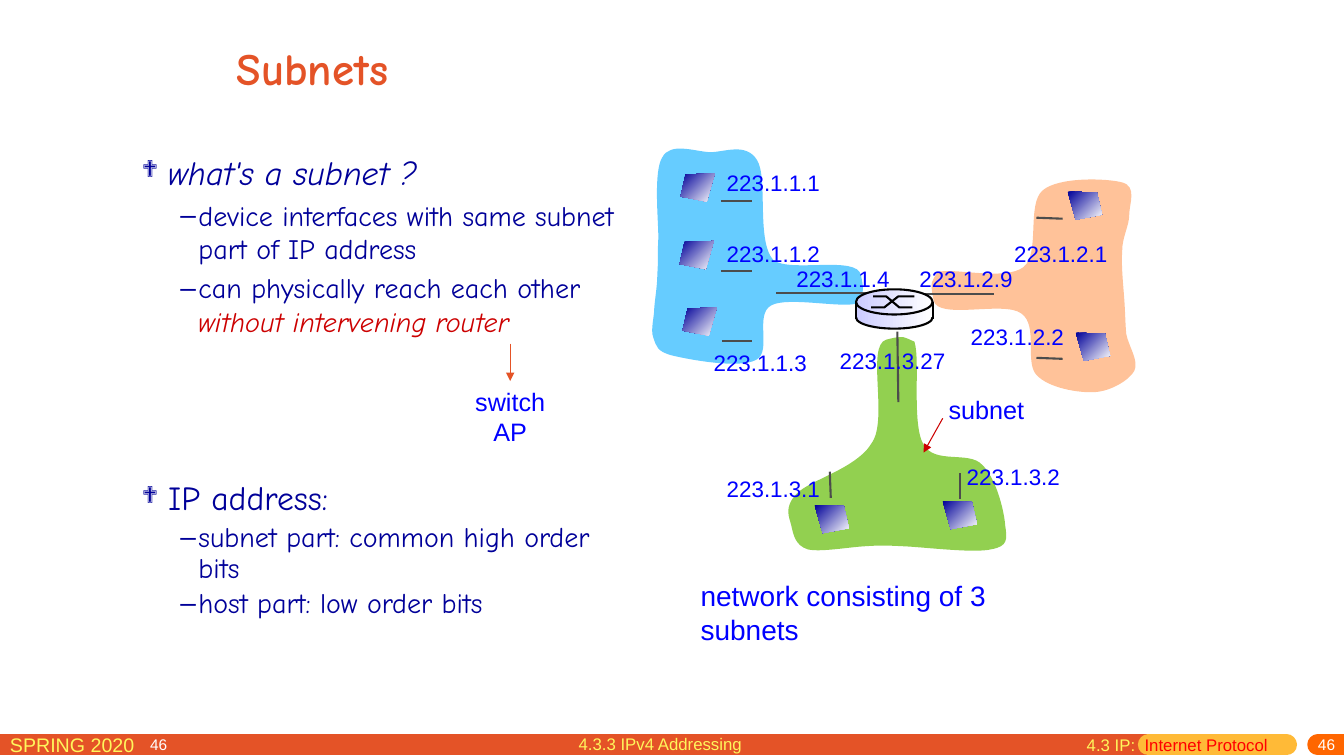
from lxml import etree
from pptx import Presentation
from pptx.dml.color import RGBColor
from pptx.enum.shapes import MSO_CONNECTOR, MSO_SHAPE
from pptx.enum.text import MSO_ANCHOR, PP_ALIGN
from pptx.oxml.ns import qn
from pptx.util import Inches, Pt

STRAIGHT = MSO_CONNECTOR.STRAIGHT
ELLIPSE, RECTANGLE = MSO_SHAPE.OVAL, MSO_SHAPE.RECTANGLE
TOP, MIDDLE = MSO_ANCHOR.TOP, MSO_ANCHOR.MIDDLE
LEFT, CENTER, RIGHT = PP_ALIGN.LEFT, PP_ALIGN.CENTER, PP_ALIGN.RIGHT


class Theme:
    sans, hand, symbols = "Arial", "Comic Neue", "Wingdings"
    orange, amber, bright_orange, yellow = "E45327", "FFBA37", "FF6600", "FFF65C"
    white, black, navy, blue = "FFFFFF", "000000", "000099", "0000FF"
    red, dark_red, wire, lilac = "FF0000", "CC0000", "4C4C4C", "CCCCFF"
    sky, peach, green = "66CCFF", "FFC299", "92D050"
    title, heading, body, note = 32, 24, 20, 18
    address, term, footer, number = 16, 14, 12, 11


THEME = Theme()

# Each outline is a start point followed by cubic curves of three points.
SUBNET_OUTLINES = {
    THEME.sky: [
        (8.54, 2.73), (8.5, 2.53), (7.84, 2.71), (7.67, 2.58), (7.5, 2.39), (7.62, 1.77), (7.51, 1.59),
        (7.4, 1.41), (7.19, 1.51), (7.04, 1.51), (6.88, 1.5), (6.65, 1.41), (6.57, 1.56), (6.48, 1.7),
        (6.53, 2.17), (6.53, 2.36), (6.52, 2.55), (6.53, 2.6), (6.52, 2.72), (6.52, 2.83), (6.5, 2.94),
        (6.49, 3.05), (6.49, 3.15), (6.45, 3.27), (6.48, 3.35), (6.51, 3.43), (6.51, 3.49), (6.68, 3.53),
        (6.85, 3.57), (7.34, 3.66), (7.5, 3.57), (7.66, 3.49), (7.48, 3.12), (7.65, 3.03), (7.81, 2.94),
        (8.35, 3.06), (8.5, 3.01), (8.55, 2.91), (8.58, 2.93), (8.54, 2.73)],
    THEME.peach: [
        (9.26, 2.98), (9.3, 3.18), (9.96, 2.98), (10.13, 3.11), (10.3, 3.23), (10.16, 3.59), (10.28, 3.72),
        (10.4, 3.85), (10.7, 3.9), (10.86, 3.89), (11.02, 3.88), (11.2, 3.77), (11.25, 3.68), (11.3, 3.58),
        (11.19, 3.43), (11.17, 3.31), (11.16, 3.19), (11.16, 3.09), (11.15, 2.96), (11.14, 2.82),
        (11.12, 2.63), (11.13, 2.49), (11.13, 2.35), (11.2, 2.24), (11.2, 2.13), (11.2, 2.02), (11.28, 1.85),
        (11.13, 1.81), (10.99, 1.77), (10.5, 1.75), (10.34, 1.89), (10.18, 2.03), (10.32, 2.52),
        (10.15, 2.65), (9.97, 2.79), (9.44, 2.65), (9.3, 2.7), (9.24, 2.8), (9.22, 2.78), (9.26, 2.98)],
    THEME.green: [
        (8.79, 3.37), (8.59, 3.43), (8.81, 4.15), (8.65, 4.39), (8.5, 4.65), (8.03, 4.76), (7.9, 4.9),
        (7.77, 5.04), (7.83, 5.13), (7.85, 5.22), (7.87, 5.31), (7.89, 5.41), (8.01, 5.45), (8.13, 5.48),
        (8.41, 5.43), (8.57, 5.42), (8.73, 5.41), (8.76, 5.41), (8.97, 5.42), (9.18, 5.43), (9.67, 5.49),
        (9.83, 5.45), (10, 5.42), (9.99, 5.35), (9.97, 5.21), (9.96, 5.07), (9.88, 4.74), (9.74, 4.61),
        (9.61, 4.47), (9.27, 4.61), (9.16, 4.41), (9.04, 4.21), (9.13, 3.57), (9.07, 3.39), (8.97, 3.35),
        (8.98, 3.32), (8.79, 3.37)],
}
WIRES = [(7.15, 1.99, 7.46, 1.99), (7.15, 2.69, 7.46, 2.69), (7.16, 3.38, 7.46, 3.38),
         (7.7, 2.91, 8.6, 2.91), (9.16, 2.92, 9.86, 2.92), (10.28, 2.16, 10.54, 2.17),
         (10.28, 3.55, 10.54, 3.56), (8.9, 3.29, 8.91, 3.99), (8.24, 4.94, 8.23, 4.68),
         (9.52, 4.95, 9.52, 4.69)]
ADDRESSES = {
    "223.1.1.1": (7.11, 1.63), "223.1.1.2": (7.11, 2.33), "223.1.1.3": (6.98, 3.41),
    "223.1.1.4": (7.8, 2.58), "223.1.2.9": (9.02, 2.58), "223.1.2.1": (9.96, 2.33),
    "223.1.2.2": (9.53, 3.16), "223.1.3.27": (8.23, 3.39), "223.1.3.1": (7.11, 4.66),
    "223.1.3.2": (9.49, 4.55)}
HOST_OUTLINE = [(0, 0), (0.29, 0.01), (0.34, 0.23), (0.08, 0.28)]
MIRRORED_OUTLINE = [(0.34 - x, y) for x, y in HOST_OUTLINE]
MIRRORED_HOSTS = [(6.75, 1.72), (6.74, 2.39), (6.77, 3.05)]
HOSTS = [(10.59, 1.9), (10.67, 3.3), (9.35, 4.97), (8.08, 5.01)]


class SlideBuilder:
    def __init__(self, page, theme):
        self.page, self.theme = page, theme

    def paint(self, shape, fill=None, line=None, angle=0):
        """Fill with a colour, a pair of gradient colours or nothing."""
        shape.shadow.inherit = False
        if fill is None:
            shape.fill.background()
        elif isinstance(fill, tuple):
            shape.fill.gradient()
            shape.fill.gradient_angle = angle
            for stop, color in zip(shape.fill.gradient_stops, fill):
                stop.color.rgb = RGBColor.from_string(color)
        else:
            shape.fill.solid()
            shape.fill.fore_color.rgb = RGBColor.from_string(fill)
        if line:
            shape.line.color.rgb = RGBColor.from_string(line)
            shape.line.width = Pt(1.5)
        else:
            shape.line.fill.background()

    def shape(self, kind, place, **style):
        self.paint(self.page.shapes.add_shape(kind, *map(Inches, place)), **style)

    def outline(self, points, closed=True, curved=False, **style):
        """Draw straight sides, or cubic curves taking three points each."""
        corners = [(Inches(x), Inches(y)) for x, y in points]
        builder = self.page.shapes.build_freeform(*corners[0], scale=1.0)
        builder.add_line_segments(corners[1:], close=closed)
        shape = builder.convert_to_shape()
        if curved:
            sides = list(shape._element.iter(qn("a:lnTo")))
            for i in range(0, len(sides), 3):
                curve = etree.Element(qn("a:cubicBezTo"))
                sides[i].addprevious(curve)
                for side in sides[i:i + 3]:
                    curve.append(side[0])
                    side.getparent().remove(side)
        self.paint(shape, **style)

    def line(self, ends, color, width=1.5, arrow=False, rounded=False):
        connector = self.page.shapes.add_connector(STRAIGHT, *map(Inches, ends))
        connector.line.color.rgb = RGBColor.from_string(color)
        connector.line.width = Pt(width)
        stroke = connector.line._get_or_add_ln()
        if rounded:
            stroke.set("cap", "rnd")
        if arrow:
            etree.SubElement(stroke, qn("a:tailEnd"), type="triangle")
        etree.SubElement(connector._element.spPr, qn("a:effectLst"))
        return connector

    def text(self, place, paragraphs, size, color, font=THEME.sans, bold=False, align=LEFT,
             anchor=TOP, wrap=True, insets=(0.1, 0.05, 0.1, 0.05)):
        """Add a text box; a paragraph is a string or a list of (string, colour)."""
        box = self.page.shapes.add_textbox(*map(Inches, place))
        frame = box.text_frame
        frame.word_wrap, frame.vertical_anchor = wrap, anchor
        for side, inset in zip(("left", "top", "right", "bottom"), insets):
            setattr(frame, f"margin_{side}", Inches(inset))
        for i, content in enumerate(paragraphs):
            para = frame.add_paragraph() if i else frame.paragraphs[0]
            para.alignment = align
            for words, shade in [(content, color)] if isinstance(content, str) else content:
                self.span(para, words, shade, size=Pt(size), name=font, bold=bold)
        return box

    def span(self, para, words, color, **formats):
        span = para.add_run()
        span.text = words
        span.font.color.rgb = RGBColor.from_string(color)
        for name, value in formats.items():
            setattr(span.font, name, value)

    def bullets(self, place, items, spacing=1.0):
        """Add a bullet list of (level, [(words, colour, italic)])."""
        frame = self.text(place, [[]], self.theme.body, self.theme.navy).text_frame
        for i, (level, spans) in enumerate(items):
            para = frame.add_paragraph() if i else frame.paragraphs[0]
            size = self.theme.body if level else self.theme.heading
            margin, hanging, mark = (0.56, 0.18, "–") if level else (0.26, 0.26, "❖")
            properties = para._p.get_or_add_pPr()
            properties.set("marL", str(Inches(margin)))
            properties.set("indent", str(-Inches(hanging)))
            if not level:
                etree.SubElement(properties, qn("a:buSzPct"), val="70000")
            bullet_font = self.theme.sans if level else self.theme.symbols
            etree.SubElement(properties, qn("a:buFont"), typeface=bullet_font)
            etree.SubElement(properties, qn("a:buChar"), char=mark)
            formats = {"level": level, "line_spacing": spacing, "space_before": Pt(size * 0.2 if i else 0)}
            for name, value in formats.items():
                setattr(para, name, value)
            for words, color, italic in spans:
                self.span(para, words, color, size=Pt(size), name=self.theme.hand, italic=italic)


def draw_footer(slide):
    for start, end, color in [(0, 11.39, THEME.orange), (11.39, 12.76, THEME.amber),
                              (13.07, 13.33, THEME.bright_orange)]:
        slide.line((start, 7.39, end, 7.39), color, 15, rounded=True)
    slide.text((0, 7.22, 2.29, 0.31), ["SPRING 2020"], THEME.term, THEME.yellow)
    for place, align in [((10.75, 7.32, 2.59, 0.18), RIGHT), ((1.39, 7.33, 0.55, 0.15), LEFT)]:
        slide.text(place, ["46"], THEME.number, THEME.white, align=align, anchor=MIDDLE,
                   insets=(0.1, 0, 0.1, 0.05))
    chapter = [("4.3 IP: ", THEME.yellow), (" Internet Protocol", THEME.red)]
    slide.text((10.68, 7.24, 2.2, 0.31), [chapter], THEME.footer, THEME.yellow)
    slide.text((5.64, 7.23, 2.89, 0.31), ["4.3.3 IPv4 Addressing"], THEME.footer, THEME.yellow)


def draw_explanation(slide):
    slide.text((2.25, 0.25, 4.05, 0.84), ["Subnets"], THEME.title, THEME.orange,
               font=THEME.hand, bold=True, anchor=MIDDLE)
    navy = THEME.navy
    slide.bullets((1.31, 1.46, 4.92, 2.12), [
        (0, [("what's a subnet ?", navy, True)]),
        (1, [("device interfaces with same subnet part of IP address", navy, False)]),
        (1, [("can physically reach each other ", navy, False),
             ("without intervening router", THEME.dark_red, True)])])
    slide.bullets((1.31, 4.73, 4.92, 1.62), [
        (0, [("IP address:", navy, False)]),
        (1, [("subnet part: common high order bits", navy, False)]),
        (1, [("host part: low order bits", navy, False)])], spacing=0.9)
    switch = slide.text((4.55, 3.78, 1.02, 0.71), ["switch", "AP"], THEME.note, THEME.blue, align=CENTER)
    slide.line((5.06, 3.41, 5.06, 3.78), THEME.orange, 0.75, arrow=True).end_connect(switch, 0)


def draw_router(slide):
    metal = (THEME.lilac, THEME.white)
    slide.shape(ELLIPSE, (8.49, 3.04, 0.76, 0.22), fill=metal, line=THEME.black)
    slide.shape(RECTANGLE, (8.49, 3.02, 0.76, 0.13), fill=metal)
    slide.shape(ELLIPSE, (8.49, 2.87, 0.76, 0.25), fill=metal, line=THEME.black)
    for xs, ys in [((8.64, 8.77, 8.91, 9.07), (3.05, 3.05, 2.94, 2.94)),
                   ((8.66, 8.79, 8.92, 9.05), (2.94, 2.94, 3.05, 3.05))]:
        slide.outline(list(zip(xs, ys)), closed=False, line=THEME.black)
    for x in (8.49, 9.25):
        slide.line((x, 3, x, 3.16), THEME.black)


def draw_network(slide):
    for color, points in SUBNET_OUTLINES.items():
        slide.outline(points, curved=True, fill=color)
    for ends in WIRES:
        slide.line(ends, THEME.wire)
    for places, corners in [(MIRRORED_HOSTS, MIRRORED_OUTLINE), (HOSTS, HOST_OUTLINE)]:
        for left, top in places:
            slide.outline([(left + x, top + y) for x, y in corners],
                          fill=(THEME.navy, THEME.white), angle=315)
    draw_router(slide)
    for address, (left, top) in ADDRESSES.items():
        width = 1.25 if len(address) > 9 else 1.13
        slide.text((left, top, width, 0.37), [address], THEME.address, THEME.blue, wrap=False)
    slide.text((9.31, 3.86, 0.95, 0.4), ["subnet"], THEME.note, THEME.blue, wrap=False)
    slide.line((9.35, 4.15, 9.16, 4.49), THEME.dark_red, 0.75, arrow=True)
    slide.text((6.85, 5.69, 4, 0.43), ["network consisting of 3 subnets"], THEME.body, THEME.blue)


deck = Presentation()
deck.slide_width, deck.slide_height = Inches(13.33), Inches(7.5)
builder = SlideBuilder(deck.slides.add_slide(deck.slide_layouts[6]), THEME)
draw_footer(builder)
draw_explanation(builder)
draw_network(builder)
deck.save("out.pptx")
